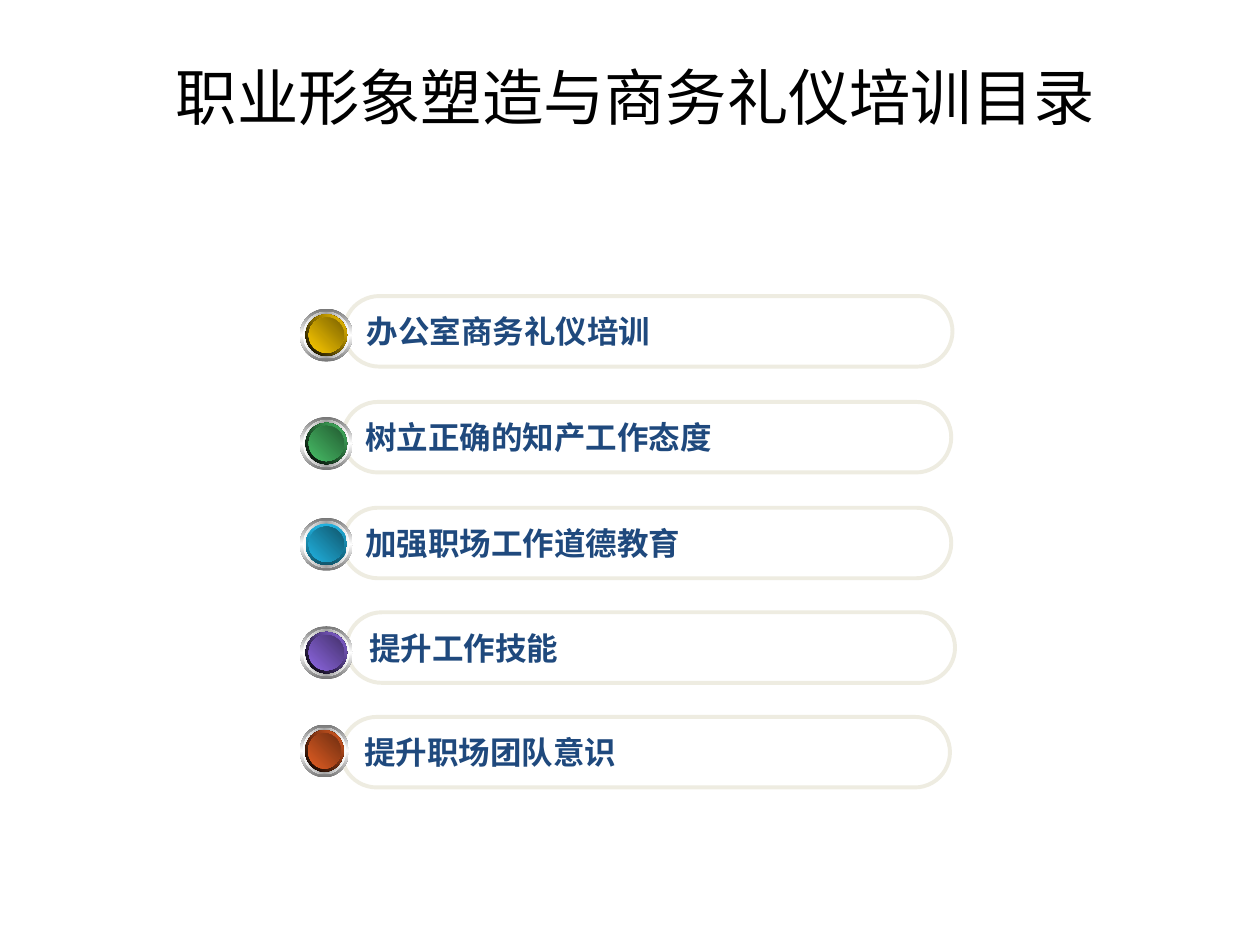
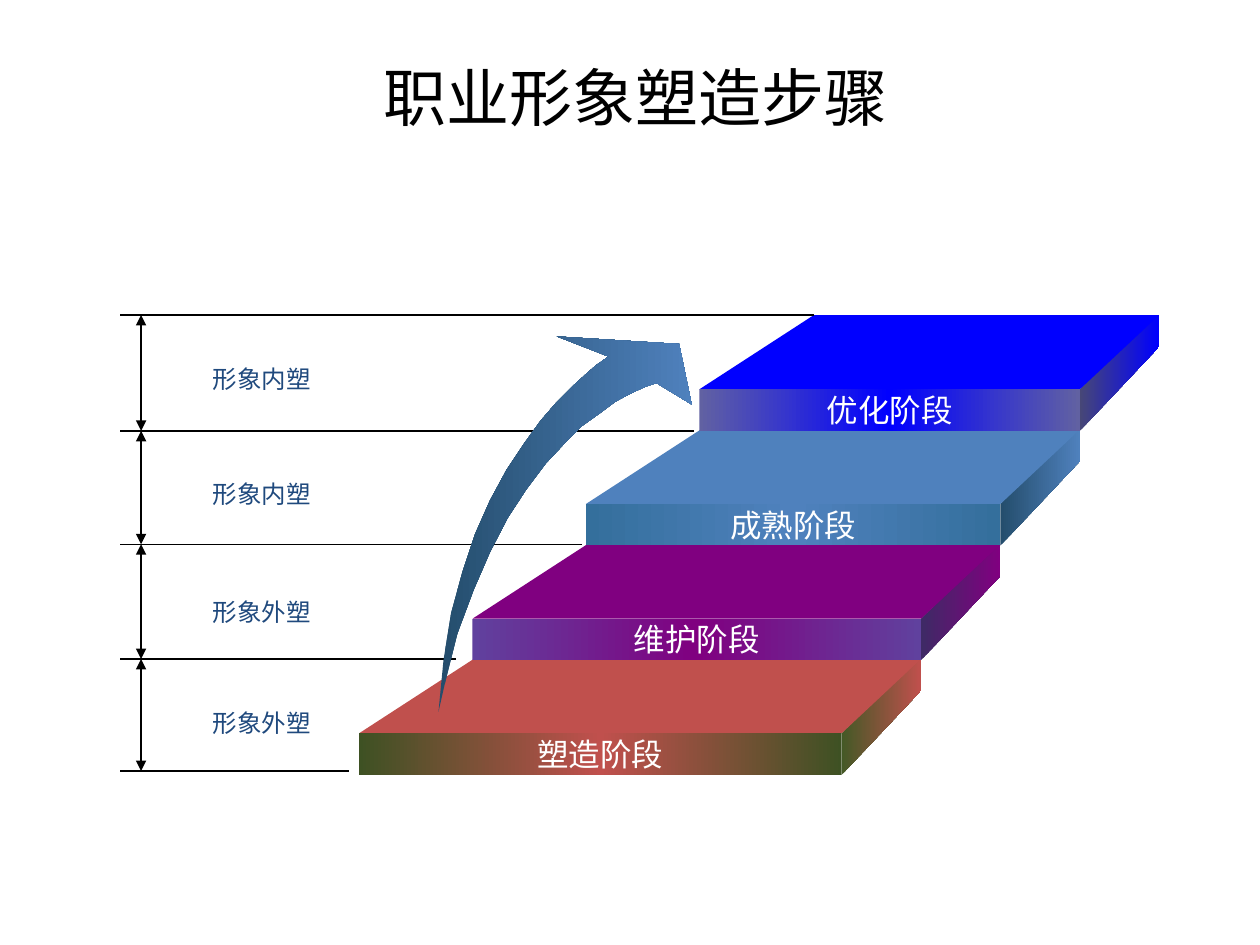
"""Build two slides on image training: a contents list and a staircase of stages."""
import copy
import itertools

import pptx
import pptx.dml.color
import pptx.enum.shapes
import pptx.enum.text
import pptx.oxml.ns
import pptx.util

Inches = pptx.util.Inches
Pt = pptx.util.Pt
RGBColor = pptx.dml.color.RGBColor
Shape = pptx.enum.shapes.MSO_SHAPE
Align = pptx.enum.text.PP_ALIGN
Anchor = pptx.enum.text.MSO_ANCHOR
Fit = pptx.enum.text.MSO_AUTO_SIZE
qn = pptx.oxml.ns.qn

BLACK = RGBColor(0x00, 0x00, 0x00)
WHITE = RGBColor(0xFF, 0xFF, 0xFF)
NAVY = RGBColor(0x1F, 0x49, 0x7D)
CREAM = RGBColor(0xEE, 0xEC, 0xE1)
GREY = RGBColor(0x76, 0x76, 0x76)
SILVER = RGBColor(0xA2, 0xA2, 0xA2)
GOLD = RGBColor(0xFF, 0xCC, 0x00)
BRONZE = RGBColor(0x7C, 0x63, 0x00)
GREEN = RGBColor(0x48, 0xBE, 0x67)
FOREST = RGBColor(0x23, 0x5C, 0x32)
CYAN = RGBColor(0x21, 0xB3, 0xE1)
TEAL = RGBColor(0x10, 0x57, 0x6D)
LILAC = RGBColor(0x8D, 0x67, 0xE1)
GRAPE = RGBColor(0x45, 0x32, 0x6D)
ORANGE = RGBColor(0xE3, 0x5E, 0x23)
RUST = RGBColor(0x6E, 0x2E, 0x11)
BLUE = RGBColor(0x00, 0x00, 0xFF)
SLATE = RGBColor(0x47, 0x47, 0x76)
MIST = RGBColor(0x61, 0x61, 0xA2)
STEEL = RGBColor(0x4F, 0x81, 0xBD)
DEEP = RGBColor(0x24, 0x4D, 0x6C)
OCEAN = RGBColor(0x34, 0x6F, 0x9C)
PURPLE = RGBColor(0x80, 0x00, 0x80)
PLUM = RGBColor(0x3E, 0x2A, 0x65)
VIOLET = RGBColor(0x60, 0x41, 0x9E)
RED = RGBColor(0xC0, 0x50, 0x4D)
MOSS = RGBColor(0x44, 0x59, 0x26)
OLIVE = RGBColor(0x3E, 0x51, 0x23)

TITLE = {"name": "Calibri", "bold": False}
ITEM = {"name": "Arial", "size": Pt(18), "bold": True}
STAGE = {"name": "DejaVu Sans", "size": Pt(18)}
NOTE = {"name": "DejaVu Sans", "size": Pt(14)}

ITEMS = [
    ("办公室商务礼仪培训", 2.73, 2.35),
    ("树立正确的知产工作态度", 2.72, 3.19),
    ("加强职场工作道德教育", 2.72, 4.03),
    ("提升工作技能", 2.75, 4.86),
    ("提升职场团队意识", 2.71, 5.69),
]
DOTS = [
    (2.45, 0.42, GOLD, BRONZE, (BLACK, GOLD), 315),
    (3.31, 0.42, GREEN, FOREST, (BLACK, GREEN), 315),
    (4.11, 0.42, CYAN, TEAL, (CYAN, TEAL), 90),
    (4.97, 0.42, LILAC, GRAPE, (BLACK, LILAC), 315),
    (5.75, 0.39, ORANGE, RUST, (BLACK, ORANGE), 315),
]
STAGES = [
    ("优化阶段", BLUE, SLATE, MIST),
    ("成熟阶段", STEEL, DEEP, OCEAN),
    ("维护阶段", PURPLE, PLUM, VIOLET),
    ("塑造阶段", RED, MOSS, OLIVE),
]
RULES = [(6.46, 2.5), (5.51, 3.42), (4.62, 4.32), (3.62, 5.23), (2.77, 6.12)]
NOTES = [("形象内塑", 2.84), ("形象内塑", 3.75), ("形象外塑", 4.69), ("形象外塑", 5.57)]
ARROW = [
    (3.48, 5.65), (3.52, 5.24), (3.58, 4.87), (3.67, 4.54), (3.77, 4.24),
    (3.89, 3.97), (4.02, 3.73), (4.16, 3.52), (4.29, 3.34), (4.42, 3.19),
    (4.54, 3.07), (4.65, 2.97), (4.73, 2.9), (4.83, 2.83), (4.42, 2.67),
    (5.39, 2.73), (5.49, 3.21), (5.21, 3.04), (5.12, 3.07), (4.99, 3.13),
    (4.88, 3.19), (4.76, 3.28), (4.62, 3.38), (4.48, 3.52), (4.33, 3.68),
    (4.18, 3.88), (4.03, 4.11), (3.89, 4.38), (3.76, 4.68), (3.63, 5.03),
    (3.53, 5.43),
]


def dress(target, values):
    for name, value in values.items():
        setattr(target, name, value)


class Deck:
    def __init__(self):
        self.show = pptx.Presentation()
        dress(self.show, {"slide_width": Inches(10), "slide_height": Inches(7.5)})
        self.slide = None

    def start(self, text, size):
        self.slide = self.show.slides.add_slide(self.show.slide_layouts[5])
        head = self.slide.shapes.title
        dress(head, {"left": Inches(1.17), "top": Inches(0.5),
                     "width": Inches(7.75), "height": Inches(0.53)})
        self.label(head, text, {**TITLE, "size": Pt(size)}, BLACK, Align.CENTER,
                   {"word_wrap": True, "auto_size": Fit.NONE})

    def label(self, shape, text, style, color, align=Align.LEFT, frame=None):
        body = shape.text_frame
        dress(body, {"text": text, "word_wrap": False,
                     "vertical_anchor": Anchor.MIDDLE, **(frame or {})})
        para = body.paragraphs[0]
        para.alignment = align
        dress(para.runs[0].font, style)
        para.runs[0].font.color.rgb = color

    def paint(self, shape, colors, angle=0):
        shape.shadow.inherit = False
        shape.line.fill.background()
        if len(colors) == 1:
            shape.fill.solid()
            shape.fill.fore_color.rgb = colors[0]
            return
        shape.fill.gradient()
        shape.fill.gradient_angle = -angle % 360
        stops = shape._element.spPr.find(".//" + qn("a:gsLst"))
        for _ in colors[2:]:
            stops.append(copy.deepcopy(stops[0]))
        for i, (stop, color) in enumerate(zip(shape.fill.gradient_stops, colors)):
            stop.position = i / (len(colors) - 1)
            stop.color.rgb = color

    def block(self, kind, box, colors, angle=0):
        shape = self.slide.shapes.add_shape(kind, *map(Inches, box))
        self.paint(shape, colors, angle)
        return shape

    def pill(self, text, left, top):
        shape = self.block(Shape.ROUNDED_RECTANGLE, (left, top, 4.83, 0.56), [WHITE])
        shape.adjustments[0] = 0.5
        shape.line.color.rgb = CREAM
        shape.line.width = Pt(2.25)
        self.label(shape, text, ITEM, NAVY)

    def dot(self, top, width, light, dark, glow, angle):
        discs = [
            (0.42, (GREY, WHITE, GREY), 90),
            (0.37, (WHITE, SILVER, WHITE), 0),
            (0.33, glow, angle),
            (0.28, (light, dark), 315),
        ]
        for size, colors, turn in discs:
            wide = size * width / 0.42
            box = (2.38 + (width - wide) / 2, top + (0.42 - size) / 2, wide, size)
            self.block(Shape.OVAL, box, colors, turn)

    def poly(self, points, colors):
        first, *rest = [(Inches(x), Inches(y)) for x, y in points]
        pen = self.slide.shapes.build_freeform(*first)
        pen.add_line_segments(rest, close=True)
        self.paint(pen.convert_to_shape(), colors)

    def rule(self, *ends, heads=()):
        line = self.slide.shapes.add_connector(
            pptx.enum.shapes.MSO_CONNECTOR.STRAIGHT, *map(Inches, ends))
        line.line.color.rgb = BLACK
        line.line.width = Pt(0.75)
        props = line._element.spPr
        for tag in heads:
            tip = props.makeelement(qn(tag), {"type": "triangle"})
            props.find(qn("a:ln")).append(tip)
        props.append(props.makeelement(qn("a:effectLst")))

    def note(self, text, top):
        box = self.slide.shapes.add_textbox(
            Inches(1.59), Inches(top), Inches(0.98), Inches(0.34))
        self.label(box, text, NOTE, NAVY, frame={
            "vertical_anchor": Anchor.TOP, "auto_size": Fit.SHAPE_TO_FIT_TEXT})


def list_slide(deck):
    deck.start("职业形象塑造与商务礼仪培训目录", 35)
    for item in ITEMS:
        deck.pill(*item)
    for dot in DOTS:
        deck.dot(*dot)


def stair_slide(deck):
    deck.start("职业形象塑造步骤", 36)
    fronts = []
    for i, (text, main_hue, side, edge) in enumerate(STAGES):
        left, right, top = 5.55 - 0.9 * i, 8.57 - 0.63 * i, 3.09 + 0.91 * i
        back, far = top - 0.59, right + 0.63
        deck.poly([(far, back), (far, back + 0.25), (right, top + 0.33), (right, top)],
                  [side, main_hue])
        deck.poly([(right, top), (left, top), (left + 0.91, back), (far, back)],
                  [main_hue])
        fronts.append((text, (left, top, right - left, 0.33), (edge, main_hue, edge)))
    for x, y in RULES:
        deck.rule(x, y, 0.95, y)
    for (_, top), (_, low) in itertools.pairwise(RULES):
        deck.rule(1.12, top, 1.12, low, heads=("a:headEnd", "a:tailEnd"))
    for note in NOTES:
        deck.note(*note)
    deck.poly(ARROW, [DEEP, STEEL])
    for text, box, colors in fronts:
        front = deck.block(Shape.RECTANGLE, box, colors)
        deck.label(front, text, STAGE, WHITE, Align.CENTER)


def main():
    deck = Deck()
    list_slide(deck)
    stair_slide(deck)
    deck.show.save("out.pptx")


if __name__ == "__main__":
    main()
